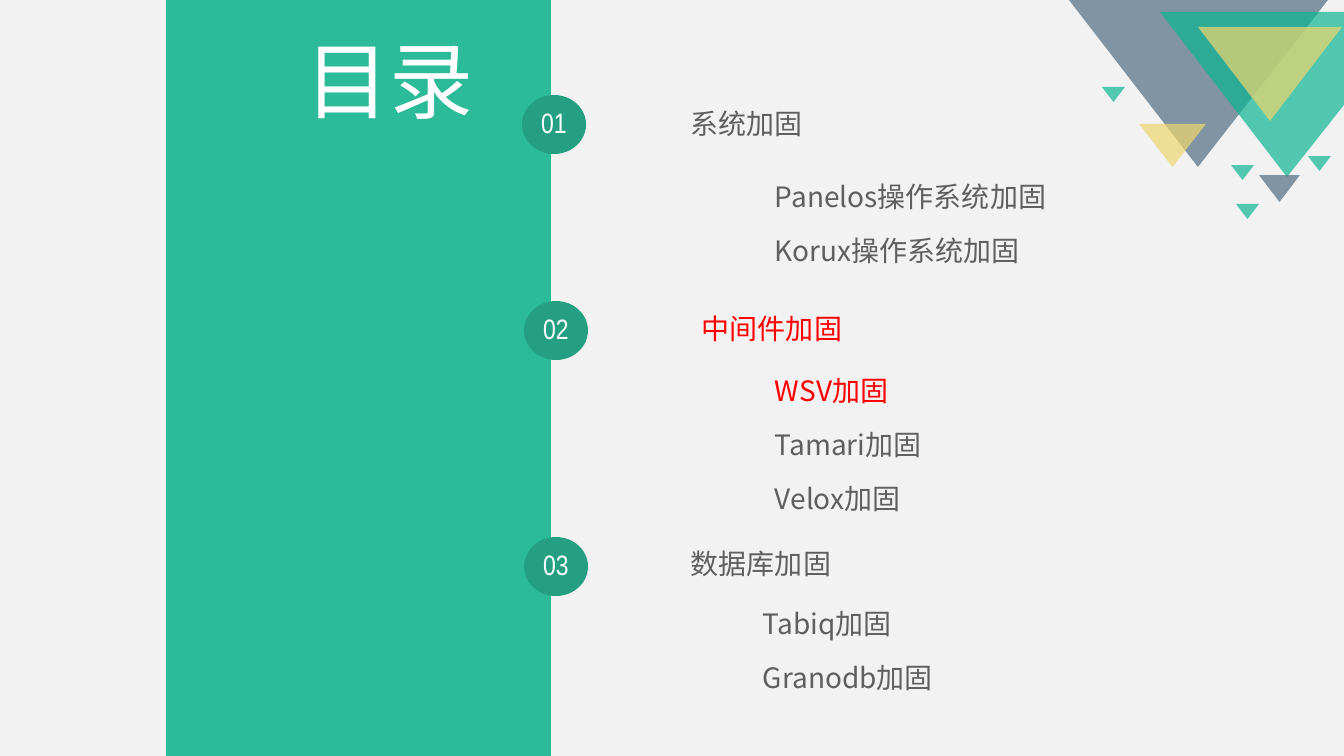
"""Build the table-of-contents slide on system hardening."""
from dataclasses import dataclass

from lxml import etree
from pptx import Presentation
from pptx.dml.color import RGBColor
from pptx.enum.shapes import MSO_SHAPE
from pptx.enum.text import MSO_ANCHOR, PP_ALIGN
from pptx.oxml.ns import qn
from pptx.util import Emu, Pt

RECTANGLE, OVAL = MSO_SHAPE.RECTANGLE, MSO_SHAPE.OVAL
TRIANGLE = MSO_SHAPE.ISOSCELES_TRIANGLE
MIDDLE, CENTER, LEFT = MSO_ANCHOR.MIDDLE, PP_ALIGN.CENTER, PP_ALIGN.LEFT

EMU_PER_PIXEL = 914400 / 100.8
WIDTH, HEIGHT = 1344, 756
NARROW, SANS = "Arial Narrow", "Noto Sans CJK SC"
PAPER, PANEL, BADGE = "F2F2F2", "2BBB99", "259F82"
SLATE, TEAL, YELLOW = "516D82", "0CB692", "EED66F"
WHITE, GRAY, RED = "FFFFFF", "5F5F5F", "FF0000"
DECORATION_OPACITY = 70
ITEM_GAP = 17


@dataclass(frozen=True)
class Box:
    left: int
    top: int
    width: int
    height: int


@dataclass(frozen=True)
class Line:
    text: str
    color: str = GRAY
    font: str = SANS
    size: int = 20


@dataclass(frozen=True)
class Polygon:
    points: tuple[tuple[int, int], ...]
    color: str


@dataclass(frozen=True)
class Decoration:
    box: Box
    color: str


@dataclass(frozen=True)
class Section:
    number: str
    badge: Box
    heading_box: Box
    heading: Line
    items_box: Box
    items: tuple[Line, ...]


POLYGONS = (
    Polygon(((1069, 0), (1328, 0), (1198, 167)), SLATE),
    Polygon(((1160, 12), (1344, 12), (1344, 105), (1287, 177)), TEAL),
)
SMALL_TRIANGLES = ((1308, 156), (1236, 204), (1231, 165), (1102, 87))
DECORATIONS = (
    Decoration(Box(1198, 27, 144, 94), YELLOW),
    Decoration(Box(1139, 124, 67, 43), YELLOW),
    Decoration(Box(1259, 175, 41, 27), SLATE),
    *(Decoration(Box(left, top, 23, 15), TEAL) for left, top in SMALL_TRIANGLES),
)
SECTIONS = (
    Section("01", Box(522, 95, 64, 59), Box(681, 96, 434, 59), Line("系统加固"),
            Box(765, 174, 444, 102),
            (Line("Panelos操作系统加固"), Line("Korux操作系统加固"))),
    Section("02", Box(524, 301, 64, 59), Box(692, 301, 434, 59), Line("中间件加固", RED),
            Box(765, 361, 467, 170),
            (Line("WSV加固", RED), Line("Tamari加固"), Line("Velox加固"))),
    Section("03", Box(524, 537, 64, 59), Box(681, 536, 434, 59), Line("数据库加固"),
            Box(753, 601, 467, 102),
            (Line("Tabiq加固"), Line("Granodb加固"))),
)


def pixels(value: int) -> Emu:
    return Emu(round(value * EMU_PER_PIXEL))


def place(box: Box) -> tuple[Emu, ...]:
    return tuple(pixels(v) for v in (box.left, box.top, box.width, box.height))


def rgb(color: str) -> RGBColor:
    return RGBColor.from_string(color)


def paint(shape, color: str, opacity: int = 100) -> None:
    shape.shadow.inherit = False
    shape.line.fill.background()
    shape.fill.solid()
    shape.fill.fore_color.rgb = rgb(color)
    if opacity < 100:
        tint = shape.fill._xPr.find(qn("a:solidFill"))[0]
        etree.SubElement(tint, qn("a:alpha"), val=str(opacity * 1000))


def add_preset(slide, kind, box: Box, color: str, opacity: int = 100):
    shape = slide.shapes.add_shape(kind, *place(box))
    paint(shape, color, opacity)
    return shape


def add_polygon(slide, polygon: Polygon) -> None:
    start, *others = polygon.points
    builder = slide.shapes.build_freeform(*start, scale=EMU_PER_PIXEL)
    builder.add_line_segments(others, close=True)
    paint(builder.convert_to_shape(), polygon.color, DECORATION_OPACITY)


def write_lines(shape, lines: tuple[Line, ...], alignment=LEFT) -> None:
    frame = shape.text_frame
    frame.word_wrap = True
    frame.vertical_anchor = MIDDLE
    for index, line in enumerate(lines):
        paragraph = frame.add_paragraph() if index else frame.paragraphs[0]
        paragraph.alignment = alignment
        paragraph.line_spacing = 0.9
        paragraph.space_before = Pt(ITEM_GAP if index else 0)
        run = paragraph.add_run()
        run.text = line.text
        run.font.size = Pt(line.size)
        run.font.color.rgb = rgb(line.color)
        run.font.name = line.font
        if line.font == SANS:
            etree.SubElement(run.font._element, qn("a:ea"), typeface=SANS)


def add_text(slide, box: Box, *lines: Line) -> None:
    write_lines(slide.shapes.add_textbox(*place(box)), lines)


def add_badge(slide, box: Box, number: str) -> None:
    badge = add_preset(slide, OVAL, box, BADGE)
    frame = badge.text_frame
    frame.margin_left = frame.margin_right = frame.margin_top = frame.margin_bottom = 0
    write_lines(badge, (Line(number, WHITE, NARROW),), CENTER)


def add_section(slide, section: Section) -> None:
    add_badge(slide, section.badge, section.number)
    add_text(slide, section.heading_box, section.heading)
    add_text(slide, section.items_box, *section.items)


def main() -> None:
    presentation = Presentation()
    presentation.slide_width, presentation.slide_height = pixels(WIDTH), pixels(HEIGHT)
    slide = presentation.slides.add_slide(presentation.slide_layouts[6])
    add_preset(slide, RECTANGLE, Box(0, 0, WIDTH, HEIGHT), PAPER)
    for polygon in POLYGONS:
        add_polygon(slide, polygon)
    for decoration in DECORATIONS:
        triangle = add_preset(slide, TRIANGLE, decoration.box, decoration.color,
                              DECORATION_OPACITY)
        triangle.rotation = 180
    add_preset(slide, RECTANGLE, Box(166, 0, 385, HEIGHT), PANEL)
    add_text(slide, Box(296, 27, 192, 117), Line("目录", WHITE, NARROW, 60))
    for section in SECTIONS:
        add_section(slide, section)
    presentation.save("out.pptx")


main()
